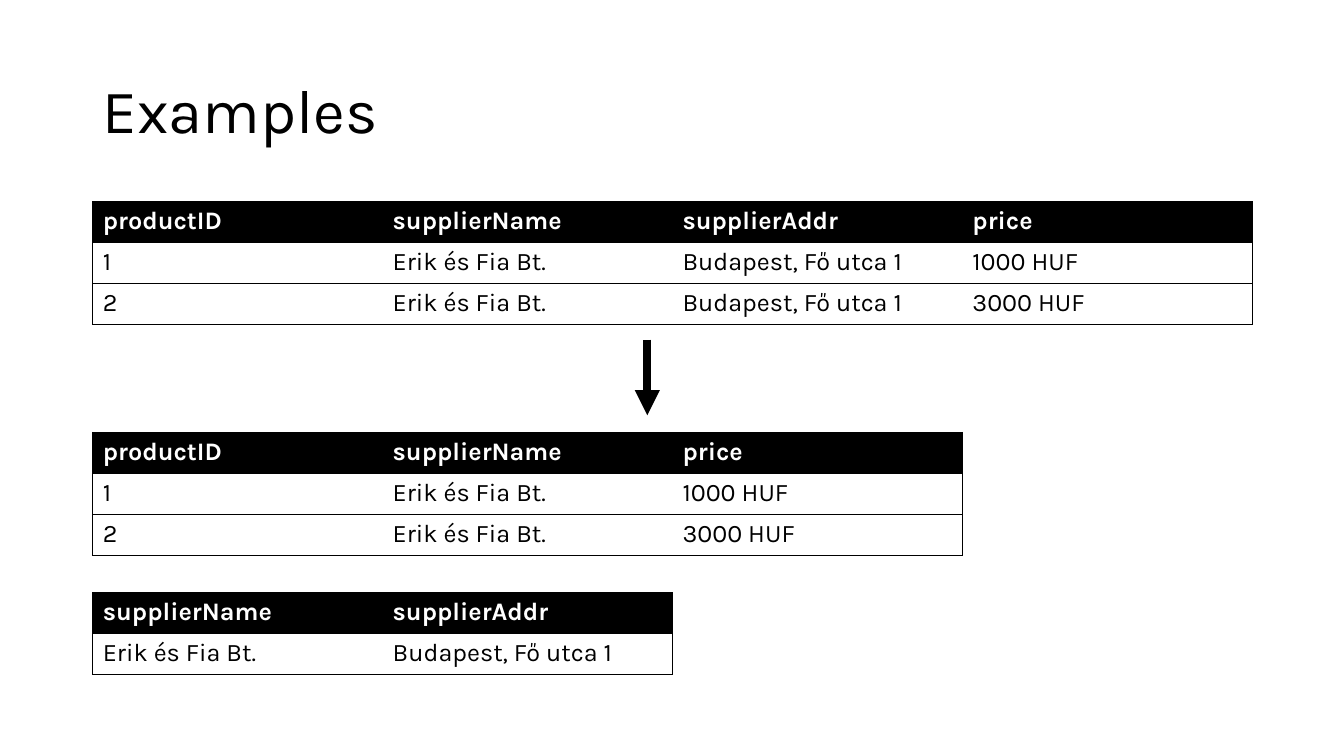
"""Build a slide that decomposes a product table into two smaller tables."""
from dataclasses import dataclass

import lxml.etree
import pptx
import pptx.dml.color
import pptx.enum.shapes
import pptx.enum.text
import pptx.oxml.ns
import pptx.slide
import pptx.table
import pptx.text.text
import pptx.util

BLACK = pptx.dml.color.RGBColor(0x00, 0x00, 0x00)
WHITE = pptx.dml.color.RGBColor(0xFF, 0xFF, 0xFF)
FONT = "Karla"
LEFT = pptx.util.Inches(0.92)
COLUMN_WIDTH = pptx.util.Inches(2.875)
ROW_HEIGHT = pptx.util.Inches(0.406)
qn = pptx.oxml.ns.qn


@dataclass(frozen=True)
class Relation:
    top: float
    rows: list[tuple[str, ...]]


RELATIONS = [
    Relation(2.0, [
        ("productID", "supplierName", "supplierAddr", "price"),
        ("1", "Erik és Fia Bt.", "Budapest, Fő utca 1", "1000 HUF"),
        ("2", "Erik és Fia Bt.", "Budapest, Fő utca 1", "3000 HUF"),
    ]),
    Relation(4.29, [
        ("productID", "supplierName", "price"),
        ("1", "Erik és Fia Bt.", "1000 HUF"),
        ("2", "Erik és Fia Bt.", "3000 HUF"),
    ]),
    Relation(5.88, [
        ("supplierName", "supplierAddr"),
        ("Erik és Fia Bt.", "Budapest, Fő utca 1"),
    ]),
]


def write_text(frame: pptx.text.text.TextFrame, text: str, *, size: float = 18,
               color: pptx.dml.color.RGBColor = BLACK, bold: bool = False,
               line_spacing: float = 1.0) -> None:
    paragraph = frame.paragraphs[0]
    paragraph.line_spacing = line_spacing
    run = paragraph.add_run()
    run.text = text
    run.font.name = FONT
    run.font.size = pptx.util.Pt(size)
    run.font.bold = bold
    run.font.color.rgb = color


def set_border(cell: pptx.table._Cell, side: str, visible: bool) -> None:
    properties = cell._tc.get_or_add_tcPr()
    border = lxml.etree.SubElement(properties, qn(f"a:ln{side}"), w=str(pptx.util.Pt(1)))
    if visible:
        fill = lxml.etree.SubElement(border, qn("a:solidFill"))
        lxml.etree.SubElement(fill, qn("a:srgbClr"), val=str(BLACK))
    else:
        lxml.etree.SubElement(border, qn("a:noFill"))


def draw_relation(slide: pptx.slide.Slide, relation: Relation) -> None:
    row_count, column_count = len(relation.rows), len(relation.rows[0])
    table = slide.shapes.add_table(
        row_count, column_count, LEFT, pptx.util.Inches(relation.top),
        COLUMN_WIDTH * column_count, ROW_HEIGHT * row_count).table
    for column in table.columns:
        column.width = COLUMN_WIDTH
    for row_index, values in enumerate(relation.rows):
        table.rows[row_index].height = ROW_HEIGHT
        is_header = row_index == 0
        for column_index, value in enumerate(values):
            cell = table.cell(row_index, column_index)
            set_border(cell, "L", column_index == 0)
            set_border(cell, "R", column_index == column_count - 1)
            set_border(cell, "T", True)
            set_border(cell, "B", True)
            cell.fill.solid()
            cell.fill.fore_color.rgb = BLACK if is_header else WHITE
            write_text(cell.text_frame, value, bold=is_header,
                       color=WHITE if is_header else BLACK)


def draw_title(slide: pptx.slide.Slide, text: str) -> None:
    title = slide.shapes.add_textbox(LEFT, pptx.util.Inches(0.4),
                                     pptx.util.Inches(11.5), pptx.util.Inches(1.45))
    title.text_frame.word_wrap = True
    title.text_frame.vertical_anchor = pptx.enum.text.MSO_ANCHOR.MIDDLE
    write_text(title.text_frame, text, size=44, line_spacing=0.9)


def draw_decomposition_arrow(slide: pptx.slide.Slide) -> None:
    center = pptx.util.Inches(6.42)
    arrow = slide.shapes.add_connector(
        pptx.enum.shapes.MSO_CONNECTOR.STRAIGHT,
        center, pptx.util.Inches(3.37), center, pptx.util.Inches(4.12))
    arrow.line.color.rgb = BLACK
    arrow.line.width = pptx.util.Pt(6)
    lxml.etree.SubElement(arrow.line._get_or_add_ln(), qn("a:tailEnd"), type="triangle")
    lxml.etree.SubElement(arrow._element.spPr, qn("a:effectLst"))


def main() -> None:
    presentation = pptx.Presentation()
    presentation.slide_width = pptx.util.Inches(13.33)
    presentation.slide_height = pptx.util.Inches(7.5)
    slide = presentation.slides.add_slide(presentation.slide_layouts[6])
    draw_title(slide, "Examples")
    for relation in RELATIONS:
        draw_relation(slide, relation)
    draw_decomposition_arrow(slide)
    presentation.save("out.pptx")


if __name__ == "__main__":
    main()
